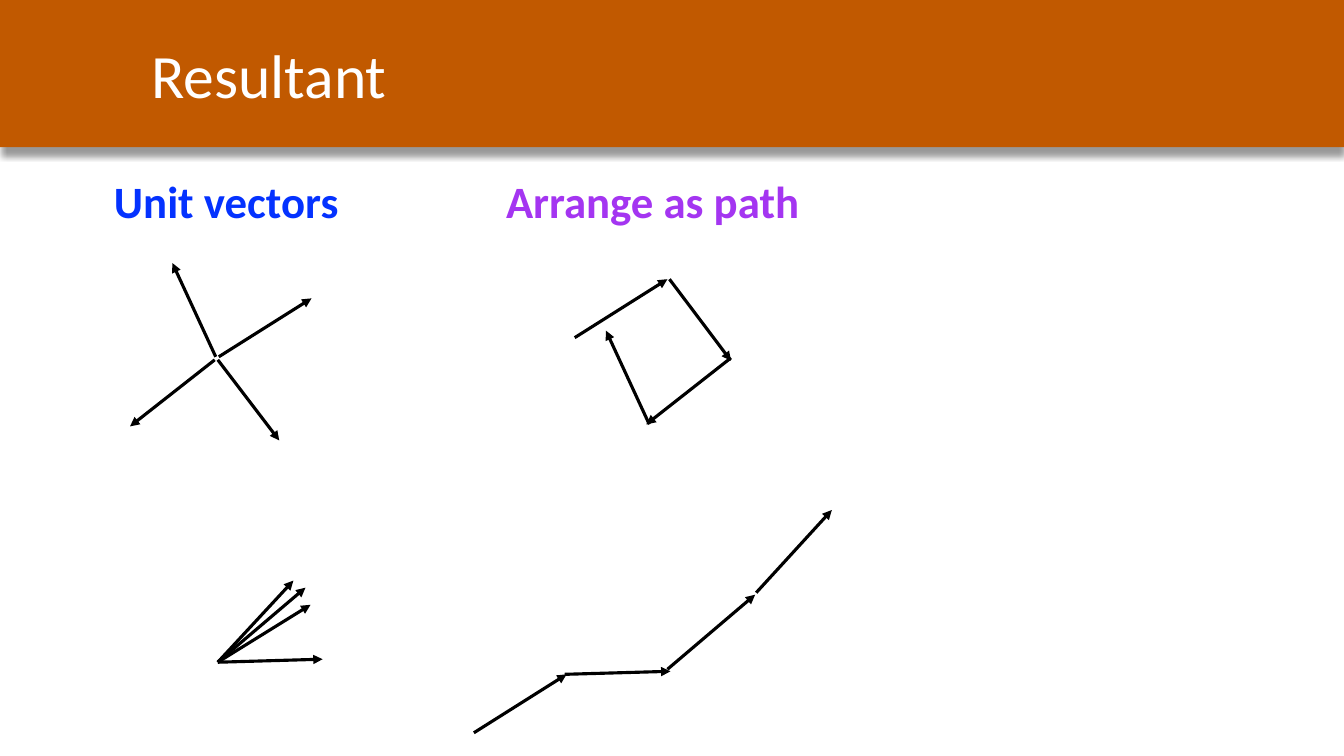
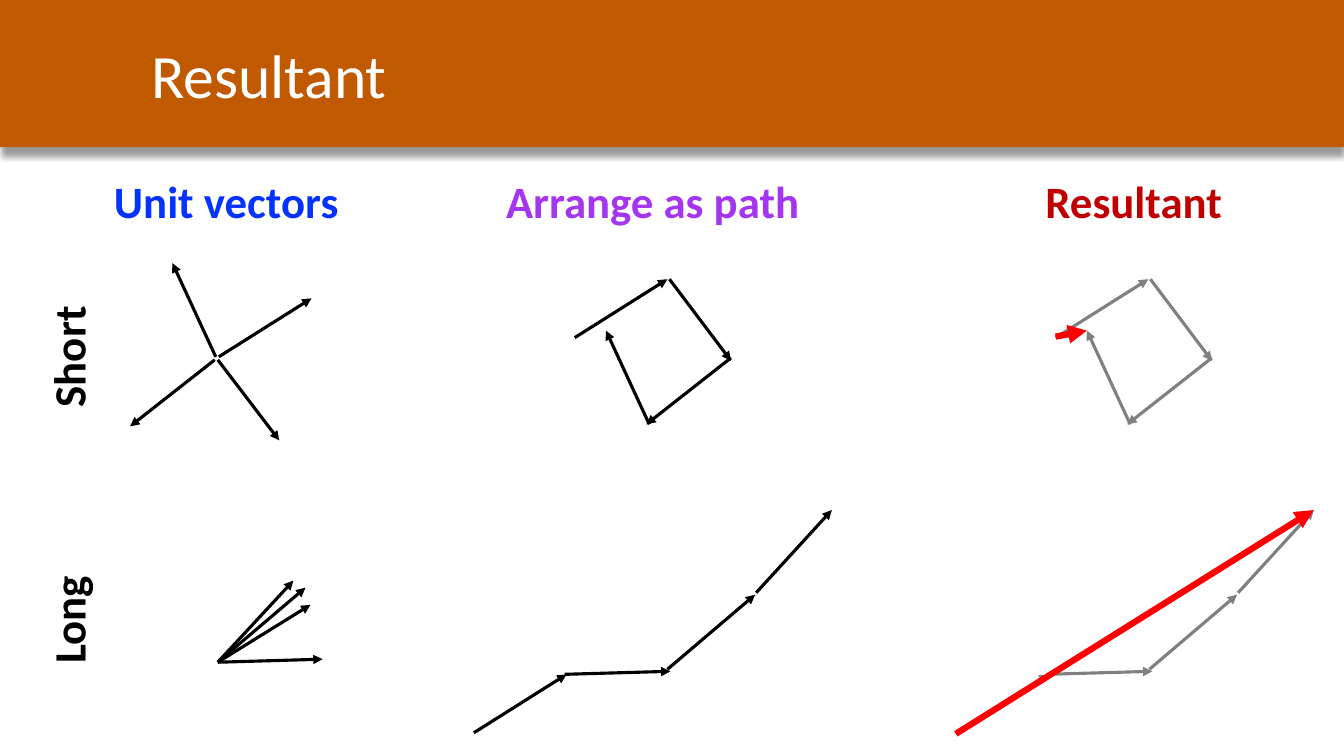
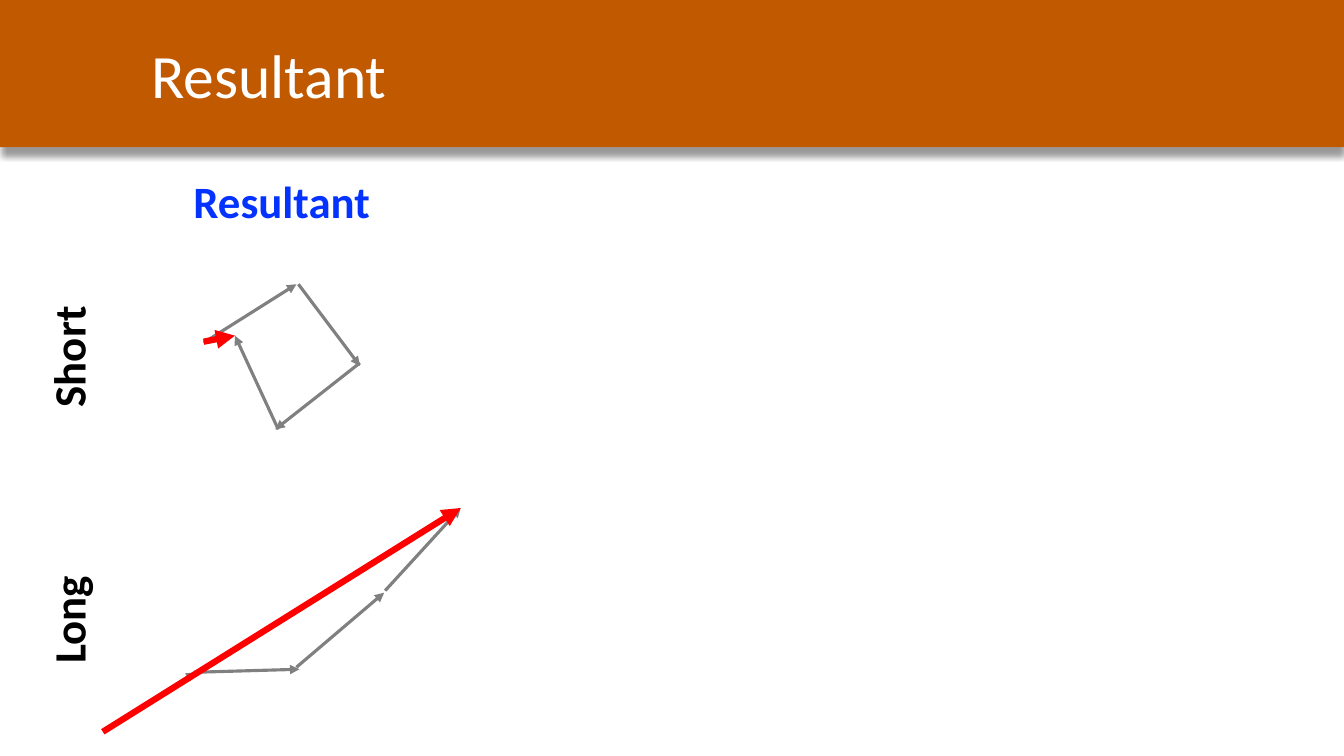
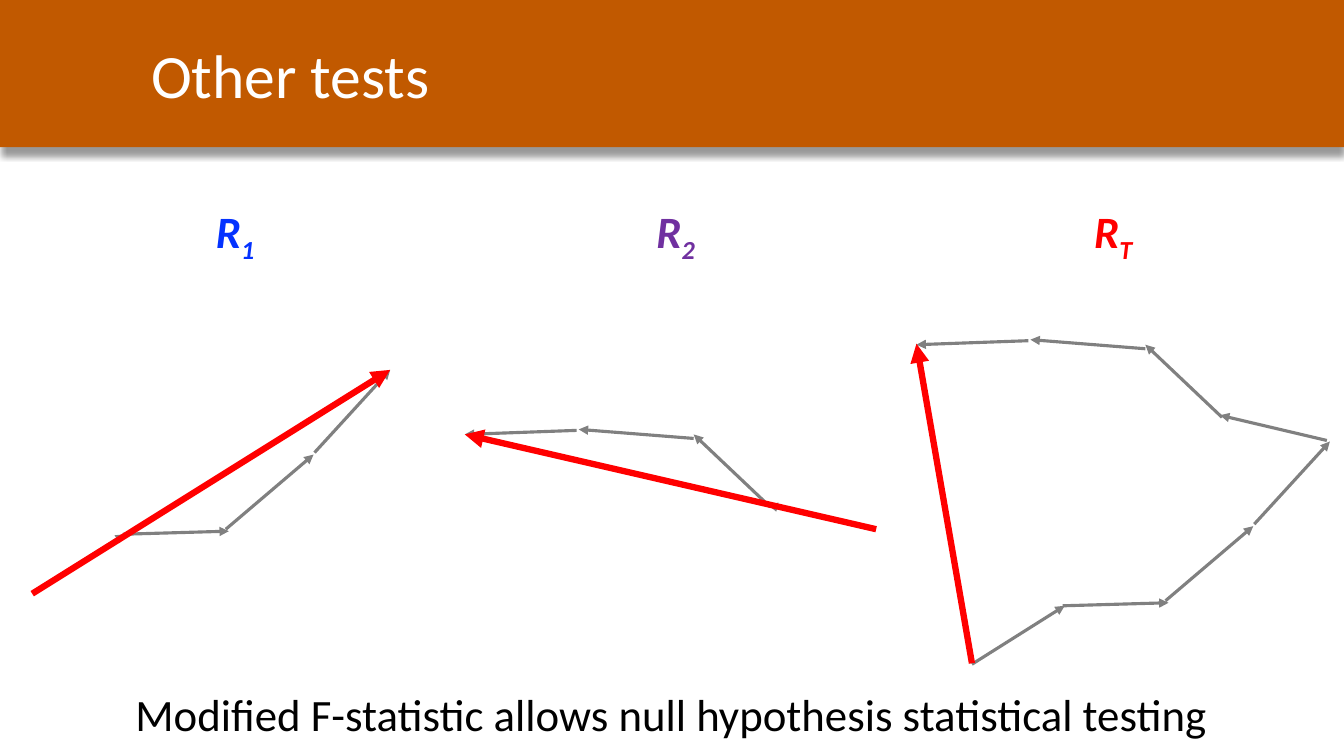
from pptx import Presentation
from pptx.dml.color import RGBColor
from pptx.enum.shapes import MSO_CONNECTOR, MSO_SHAPE
from pptx.enum.text import MSO_ANCHOR, PP_ALIGN
from pptx.oxml import parse_xml
from pptx.oxml.ns import nsdecls
from pptx.util import Inches, Pt

SLIDE_WIDTH, SLIDE_HEIGHT = 13.33, 7.5
FONT = "Calibri"
ORANGE, WHITE, BLACK, GRAY = "C15900", "FFFFFF", "000000", "808080"
BLUE, VIOLET, PURPLE = "0432FF", "A435F1", "7030A0"
DARK_RED, RED = "C00000", "FF0000"
HEADING_TOP, HEADING_HEIGHT = 1.67, 0.64

# Arrows are (x1, y1, x2, y2) in inches.
UNIT_VECTORS = [
    (2.17, 3.54, 3.09, 2.96), (2.14, 3.54, 1.71, 2.61),
    (2.13, 3.57, 1.29, 4.23), (2.16, 3.57, 2.77, 4.37),
    (2.16, 6.57, 3.08, 6), (2.16, 6.57, 2.91, 5.76),
    (2.16, 6.57, 3.03, 5.83), (2.16, 6.57, 3.2, 6.54),
]
# Path arrows are measured from the start of the path.
SHORT_PATH = {
    "steps": [(0, 0, 0.92, -0.58), (0.74, 0.86, 0.31, -0.07),
              (1.55, 0.2, 0.71, 0.86), (0.94, -0.58, 1.55, 0.23)],
    "resultant": (0, -0.01, 0.31, -0.07),
}
LONG_PATH = {
    "steps": [(0, 0, 0.92, -0.58), (2.8, -1.39, 3.55, -2.21),
              (1.92, -0.63, 2.79, -1.37), (0.9, -0.58, 1.95, -0.61)],
    "resultant": (0, 0.01, 3.55, -2.21),
}
LEFTWARD_PATH = {
    "steps": [(0, 0, -1.06, -0.25), (-2.96, -0.99, -4.07, -0.95),
              (-1.8, -0.91, -2.94, -1), (-1.04, -0.23, -1.8, -0.95)],
    "resultant": (0.01, -0.01, -4.07, -0.95),
}
TOTAL_RESULTANT = (9.64, 6.58, 9.09, 3.41)

# Headings are (text, left, width, colour).
UNIT_HEADING = ("Unit vectors", 1.02, 2.45, BLUE)
PATH_HEADING = ("Arrange as path", 4.91, 3.13, VIOLET)
ROW_LABELS = [("Short", 3.22), ("Long", 5.83)]

# Paths are (path, start x, start y, colour, with resultant).
BLACK_PATHS = [(SHORT_PATH, 5.7, 3.35, BLACK, False),
               (LONG_PATH, 4.7, 7.27, BLACK, False)]
SLIDES = [
    {"title": "Resultant", "headings": [UNIT_HEADING, PATH_HEADING],
     "arrows": UNIT_VECTORS, "paths": BLACK_PATHS},
    {"title": "Resultant",
     "headings": [UNIT_HEADING, PATH_HEADING,
                  ("Resultant", 10.26, 1.97, DARK_RED)],
     "arrows": UNIT_VECTORS, "row_labels": ROW_LABELS,
     "paths": BLACK_PATHS + [(SHORT_PATH, 10.47, 3.35, GRAY, True),
                             (LONG_PATH, 9.48, 7.27, GRAY, True)]},
    {"title": "Resultant", "headings": [("Resultant", 1.81, 1.97, BLUE)],
     "row_labels": ROW_LABELS,
     "paths": [(SHORT_PATH, 2.02, 3.4, GRAY, True),
               (LONG_PATH, 1.02, 7.25, GRAY, True)]},
    {"title": "Other tests",
     "symbols": [("R", "1", 0.24, 4.18, BLUE), ("R", "2", 4.61, 4.18, PURPLE),
                 ("R", "T", 8.99, 4.1, RED)],
     "paths": [(LONG_PATH, 0.32, 5.88, GRAY, True),
               (LEFTWARD_PATH, 8.68, 5.26, GRAY, True),
               (LONG_PATH, 9.64, 6.59, GRAY, False),
               (LEFTWARD_PATH, 13.16, 4.37, GRAY, False)],
     "total": TOTAL_RESULTANT,
     "conclusion": "Modified F-statistic allows null hypothesis "
                   "statistical testing"},
]


def rgb(color):
    return RGBColor.from_string(color)


def add_text(slide, text, left, top, width, height=HEADING_HEIGHT, size=32,
             color=BLACK, bold=False, italic=False, align=PP_ALIGN.CENTER,
             anchor=MSO_ANCHOR.TOP, wrap=False, rotation=0, subscript=""):
    box = slide.shapes.add_textbox(Inches(left), Inches(top),
                                   Inches(width), Inches(height))
    box.rotation = rotation
    frame = box.text_frame
    frame.word_wrap = wrap
    frame.vertical_anchor = anchor
    paragraph = frame.paragraphs[0]
    paragraph.alignment = align
    for part in filter(None, (text, subscript)):
        run = paragraph.add_run()
        run.text = part
        run.font.name, run.font.size = FONT, Pt(size)
        run.font.bold, run.font.italic = bold, italic
        run.font.color.rgb = rgb(color)
    if subscript:
        run.font._element.set("baseline", "-25000")


def add_arrow(slide, ends, color, width=2.25):
    arrow = slide.shapes.add_connector(MSO_CONNECTOR.STRAIGHT,
                                       *(Inches(value) for value in ends))
    arrow.line.color.rgb = rgb(color)
    arrow.line.width = Pt(width)
    arrow.line._get_or_add_ln().append(
        parse_xml(f'<a:tailEnd {nsdecls("a")} type="triangle"/>'))
    arrow._element.spPr.append(parse_xml(f'<a:effectLst {nsdecls("a")}/>'))


def add_resultant(slide, ends):
    add_arrow(slide, ends, RED, width=4.5)


def add_path(slide, path, x, y, color, with_resultant):
    def shift(ends):
        return [value + start for value, start in zip(ends, (x, y, x, y))]

    for step in path["steps"]:
        add_arrow(slide, shift(step), color)
    if with_resultant:
        add_resultant(slide, shift(path["resultant"]))


def add_title_band(slide, title):
    band = slide.shapes.add_shape(MSO_SHAPE.RECTANGLE, 0, 0,
                                  Inches(SLIDE_WIDTH), Inches(1.46))
    band.fill.solid()
    band.fill.fore_color.rgb = rgb(ORANGE)
    band.line.fill.background()
    band._element.spPr.append(parse_xml(
        f'<a:effectLst {nsdecls("a")}>'
        f'<a:outerShdw blurRad="{Pt(4)}" dist="{Pt(6)}" dir="5400000" '
        f'rotWithShape="0"><a:srgbClr val="{BLACK}"><a:alpha val="40000"/>'
        '</a:srgbClr></a:outerShdw></a:effectLst>'))
    add_text(slide, title, 1.4, 0.12, 11.93, 1.22, size=44, color=WHITE,
             align=PP_ALIGN.LEFT, anchor=MSO_ANCHOR.MIDDLE, wrap=True)


def add_content_slide(deck, content):
    slide = deck.slides.add_slide(deck.slide_layouts[6])
    add_title_band(slide, content["title"])
    for ends in content.get("arrows", []):
        add_arrow(slide, ends, BLACK)
    for path in content["paths"]:
        add_path(slide, *path)
    if "total" in content:
        add_resultant(slide, content["total"])
    for text, left, width, color in content.get("headings", []):
        add_text(slide, text, left, HEADING_TOP, width, color=color, bold=True)
    for text, top in content.get("row_labels", []):
        add_text(slide, text, -0.55, top, 2.45, bold=True, wrap=True,
                 rotation=270)
    for letter, index, left, width, color in content.get("symbols", []):
        add_text(slide, letter, left, 1.97, width, color=color, bold=True,
                 italic=True, wrap=True, subscript=index)
    if "conclusion" in content:
        add_text(slide, content["conclusion"], 1.18, 6.76, 10.96)


def main():
    deck = Presentation()
    deck.slide_width = Inches(SLIDE_WIDTH)
    deck.slide_height = Inches(SLIDE_HEIGHT)
    for content in SLIDES:
        add_content_slide(deck, content)
    deck.save("out.pptx")


if __name__ == "__main__":
    main()
